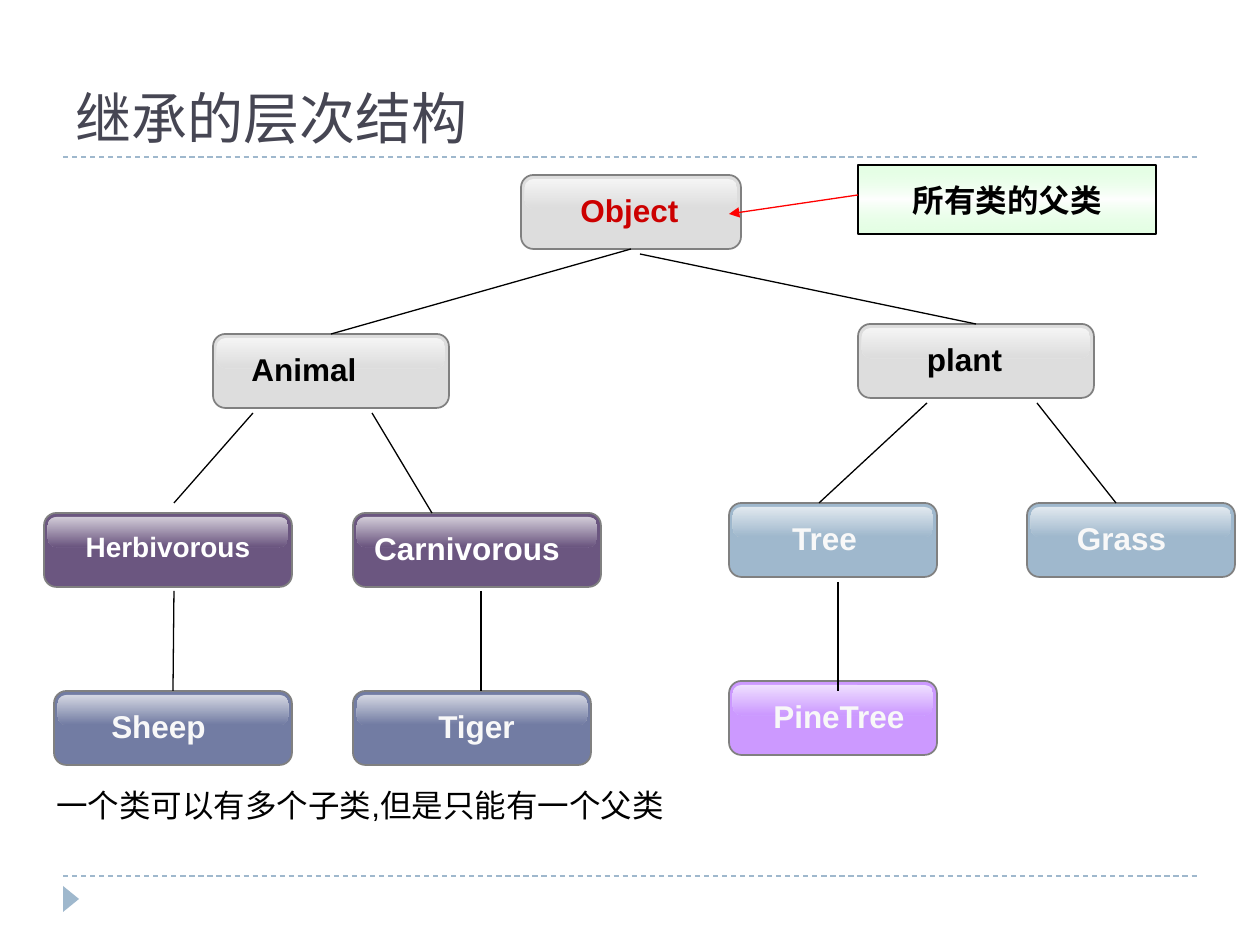
from copy import deepcopy
from lxml import etree
from pptx import Presentation
from pptx.dml.color import RGBColor
from pptx.enum.dml import MSO_LINE
from pptx.enum.shapes import MSO_CONNECTOR, MSO_SHAPE
from pptx.enum.text import MSO_ANCHOR, MSO_AUTO_SIZE, PP_ALIGN
from pptx.oxml.ns import qn
from pptx.util import Emu, Pt

ROUND, RECT = MSO_SHAPE.ROUNDED_RECTANGLE, MSO_SHAPE.RECTANGLE
WEDGE = MSO_SHAPE.ISOSCELES_TRIANGLE
STRAIGHT, DASH = MSO_CONNECTOR.STRAIGHT, MSO_LINE.DASH
LEFT, CENTER = PP_ALIGN.LEFT, PP_ALIGN.CENTER
TOP, MIDDLE, BOTTOM = MSO_ANCHOR.TOP, MSO_ANCHOR.MIDDLE, MSO_ANCHOR.BOTTOM
FIXED = MSO_AUTO_SIZE.NONE

GRAY, PLUM, SKY = "DDDDDD", "6B5680", "9FB8CD"
SLATE, LILAC, MINT = "727CA3", "CC99FF", "CCFFCC"
BLACK, WHITE, PALE, RED = "000000", "FFFFFF", "F8F8F8", "CC0000"


def px(n):
    return Emu(round(n * 914400 / 126))


def color(code):
    return RGBColor.from_string(code)


class Board:
    font = "Arial"
    node_h = 74

    def __init__(self, deck):
        self.slide = deck.slides.add_slide(deck.slide_layouts[5])
        self.shapes = self.slide.shapes

    def letter(self, frame, text, size, ink, bold=False, align=CENTER,
               anchor=TOP, wrap=True, shade=False):
        look = {"word_wrap": wrap, "auto_size": FIXED, "vertical_anchor": anchor}
        for key, val in look.items():
            setattr(frame, key, val)
        para = frame.paragraphs[0]
        para.alignment = align
        run = para.add_run()
        run.text = text
        for key, val in {"size": Pt(size), "bold": bold, "name": self.font}.items():
            setattr(run.font, key, val)
        run.font.color.rgb = color(ink)
        if shade:
            self.shade(run)
        return para

    def shade(self, run):
        props = run._r.get_or_add_rPr()
        fx = etree.Element(qn("a:effectLst"))
        drop = etree.SubElement(fx, qn("a:outerShdw"), dist="25400", dir="2700000")
        tint = etree.SubElement(drop, qn("a:srgbClr"), val="808080")
        etree.SubElement(tint, qn("a:alpha"), val="60000")
        props.find(qn("a:solidFill")).addnext(fx)

    def title(self, text, box):
        head = self.shapes.title
        for key, val in zip(("left", "top", "width", "height"), box):
            setattr(head, key, px(val))
        self.letter(head.text_frame, text, 32, "464653", align=LEFT, anchor=BOTTOM)

    def label(self, text, box, size, ink, **style):
        area = self.shapes.add_textbox(*map(px, box))
        return self.letter(area.text_frame, text, size, ink, **style)

    def shape(self, kind, box, fill=None, edge=None, width=1, adj=None):
        item = self.shapes.add_shape(kind, *map(px, box))
        item.shadow.inherit = False
        if fill:
            item.fill.solid()
            item.fill.fore_color.rgb = color(fill)
        if edge:
            item.line.color.rgb = color(edge)
            item.line.width = Pt(width)
        else:
            item.line.fill.background()
        if adj:
            item.adjustments[0] = adj
        return item

    def blend(self, item, stops):
        """Fill from top to bottom with (position, colour, opacity) stops."""
        item.fill.gradient()
        item.fill.gradient_angle = 270
        tray = item._element.spPr.find(qn("a:gradFill")).find(qn("a:gsLst"))
        base = deepcopy(tray[0])
        for old in list(tray):
            tray.remove(old)
        for pos, code, alpha in stops:
            stop = deepcopy(base)
            for old in list(stop):
                stop.remove(old)
            stop.set("pos", str(pos * 1000))
            tint = etree.SubElement(stop, qn("a:srgbClr"), val=code)
            etree.SubElement(tint, qn("a:alpha"), val=str(alpha * 1000))
            tray.append(stop)

    def node(self, x, y, w, fill):
        body = self.shape(ROUND, (x, y, w, self.node_h), fill, "808080", adj=0.167)
        gloss = self.shape(ROUND, (x + 4, y + 4, w - 8, 30), adj=0.284)
        self.blend(gloss, [(0, WHITE, 70), (100, fill, 70)])
        return body

    def line(self, x1, y1, x2, y2, ink=BLACK, dash=None, arrow=False,
             start=None, end=None):
        link = self.shapes.add_connector(STRAIGHT, *map(px, (x1, y1, x2, y2)))
        link.line.color.rgb = color(ink)
        link.line.width = Pt(0.75)
        if dash:
            link.line.dash_style = dash
        if arrow:
            edge = link._element.spPr.find(qn("a:ln"))
            etree.SubElement(edge, qn("a:tailEnd"), type="triangle")
        etree.SubElement(link._element.spPr, qn("a:effectLst"))
        if start:
            link.begin_connect(start, 2)
        if end:
            link.end_connect(end, 0)


def main():
    deck = Presentation()
    deck.slide_width, deck.slide_height = px(1260), px(945)
    board = Board(deck)

    # Frame: dashed rules, page marker, title
    for y in (157, 876):
        board.line(63, y, 1197, y, SKY, DASH)
    mark = board.shape(WEDGE, (58, 891, 26, 16), SKY)
    mark.rotation = 90
    board.title("继承的层次结构", (63, 21, 1134, 136))

    # Class boxes: name, x, y, width, fill, label x, label width, size, ink, shade
    tree = [
        ("Object", 521, 175, 220, GRAY, 561, 137, 18, RED, False),
        ("Animal", 213, 334, 236, GRAY, 203, 202, 18, BLACK, True),
        ("plant", 858, 324, 236, GRAY, 848, 233, 18, BLACK, False),
        ("Herbivorous", 44, 513, 248, PLUM, 54, 228, 16, WHITE, False),
        ("Carnivorous", 353, 513, 248, PLUM, 353, 228, 18, WHITE, False),
        ("Tree", 729, 503, 208, SKY, 740, 169, 18, PALE, True),
        ("Grass", 1027, 503, 208, SKY, 1037, 169, 18, PALE, True),
        ("Sheep", 54, 691, 238, SLATE, 74, 169, 18, PALE, True),
        ("Tiger", 353, 691, 238, SLATE, 392, 169, 18, PALE, True),
        ("PineTree", 729, 681, 208, LILAC, 740, 198, 18, PALE, True),
    ]
    nodes = {}
    for name, x, y, w, fill, tx, tw, size, ink, shade in tree:
        nodes[name] = board.node(x, y, w, fill)
        board.label(name, (tx, y + 10, tw, 50), size, ink, bold=True, shade=shade)

    # Branches between the levels
    board.line(631, 249, 331, 334, start=nodes["Object"], end=nodes["Animal"])
    board.line(640, 254, 976, 324, end=nodes["plant"])
    board.line(174, 591, 174, 691, end=nodes["Sheep"])
    for ends in [(253, 413, 174, 503), (372, 413, 432, 513),
                 (927, 403, 819, 503), (1037, 403, 1116, 503),
                 (481, 591, 481, 691), (838, 582, 838, 691)]:
        board.line(*ends)

    # Callout on the root class
    note = board.shape(RECT, (858, 165, 298, 69), edge=BLACK, width=0.75)
    board.blend(note, [(0, MINT, 51), (50, WHITE, 100), (100, MINT, 51)])
    board.letter(note.text_frame, "所有类的父类", 18, BLACK, bold=True,
                 anchor=MIDDLE, wrap=False, shade=True)
    board.line(858, 195, 729, 214, "FF0000", arrow=True)

    # Closing remark with a hanging indent
    para = board.label("一个类可以有多个子类,但是只能有一个父类",
                       (44, 780, 1121, 59), 18, BLACK, align=LEFT)
    for key, val in {"marL": px(48), "indent": px(-48)}.items():
        para._p.get_or_add_pPr().set(key, str(int(val)))

    deck.save("out.pptx")


if __name__ == "__main__":
    main()
